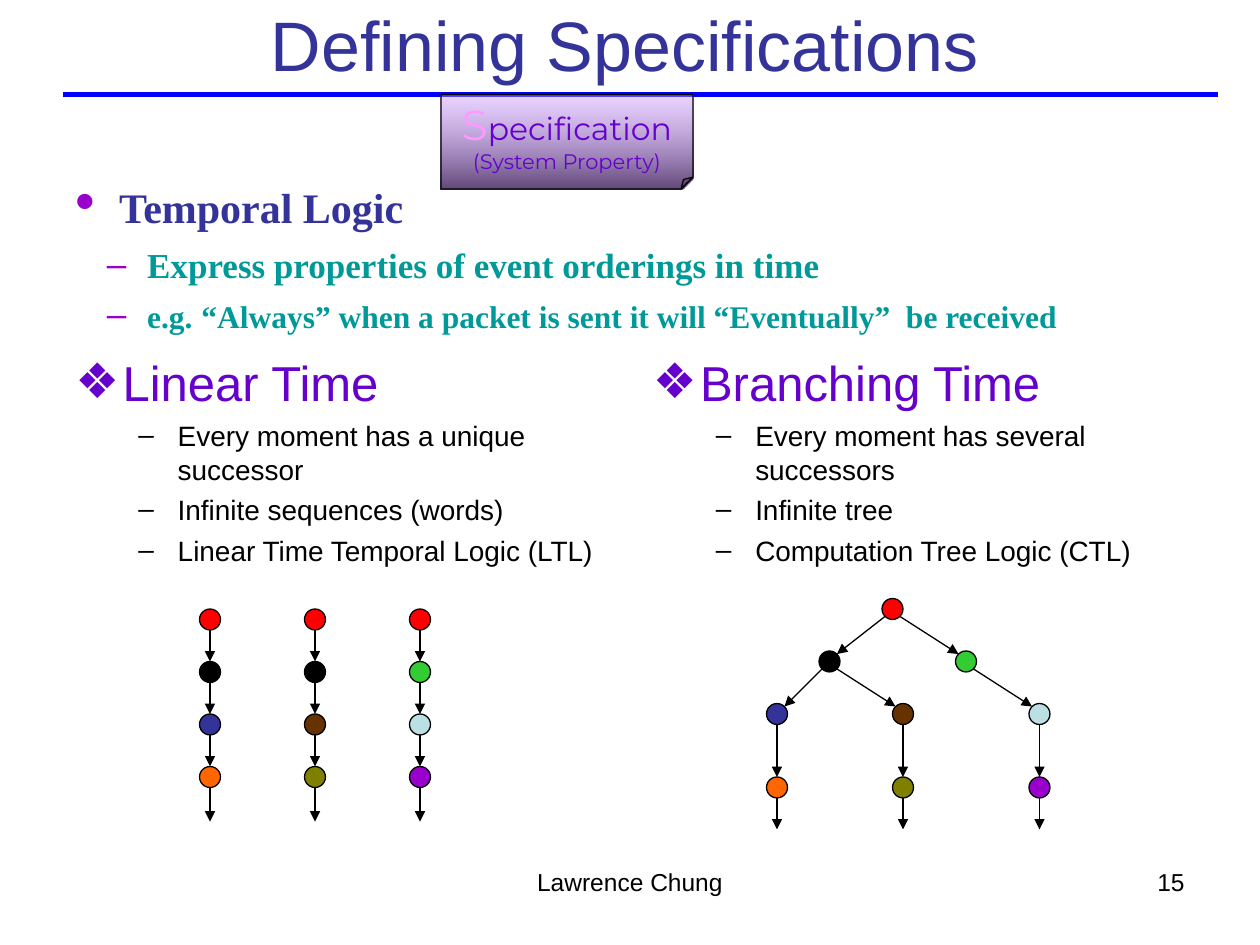
"""Builds the slide on defining specifications with linear and branching time."""
from dataclasses import dataclass
from math import sqrt

from lxml import etree
from pptx import Presentation
from pptx.dml.color import RGBColor
from pptx.enum import shapes, text
from pptx.oxml.ns import qn
from pptx.util import Pt

BLACK, RED, BLUE = RGBColor(0, 0, 0), RGBColor(255, 0, 0), RGBColor(0, 0, 255)
NAVY, INDIGO = RGBColor(0x33, 0x33, 0x99), RGBColor(0x66, 0x00, 0xCC)
PURPLE, TEAL = RGBColor(0x99, 0x00, 0xCC), RGBColor(0x00, 0x99, 0x99)
PINK, LILAC = RGBColor(0xFF, 0x99, 0xFF), RGBColor(0xCC, 0x99, 0xFF)
PLUM, PALE = RGBColor(0x5E, 0x46, 0x75), RGBColor(0xBB, 0xE0, 0xE3)
ORANGE, BROWN = RGBColor(0xFF, 0x66, 0x00), RGBColor(0x66, 0x33, 0x00)
OLIVE, GREEN = RGBColor(0x80, 0x80, 0x00), RGBColor(0x33, 0xCC, 0x33)

ARIAL, TIMES, MONTSERRAT = "Arial", "Times New Roman", "Montserrat"
LEFT, CENTER, RIGHT = text.PP_ALIGN.LEFT, text.PP_ALIGN.CENTER, text.PP_ALIGN.RIGHT
RADIUS = 6


@dataclass(frozen=True)
class Run:
    text: str
    size: float
    color: RGBColor = BLACK
    font: str = ARIAL
    bold: bool = False


@dataclass(frozen=True)
class Bullet:
    char: str
    color: RGBColor
    margin: float
    hang: float


@dataclass(frozen=True)
class Para:
    runs: tuple[Run, ...]
    align: text.PP_ALIGN = LEFT
    before: float = 0
    bullet: Bullet | None = None


@dataclass(frozen=True)
class Node:
    x: float
    y: float
    color: RGBColor


def add_bullet(p, bullet: Bullet) -> None:
    pPr = p._p.get_or_add_pPr()
    pPr.set("marL", str(Pt(bullet.margin)))
    pPr.set("indent", str(-Pt(bullet.hang)))
    clr = etree.SubElement(pPr, qn("a:buClr"))
    etree.SubElement(clr, qn("a:srgbClr"), val=str(bullet.color))
    etree.SubElement(pPr, qn("a:buFont"), typeface=ARIAL)
    etree.SubElement(pPr, qn("a:buChar"), char=bullet.char)


def fill_text(tf, paras: list[Para]) -> None:
    for i, para in enumerate(paras):
        p = tf.add_paragraph() if i else tf.paragraphs[0]
        p.alignment = para.align
        p.space_before = Pt(para.before)
        if para.bullet:
            add_bullet(p, para.bullet)
        for run in para.runs:
            r = p.add_run()
            r.text = run.text
            r.font.size = Pt(run.size)
            r.font.name = run.font
            r.font.bold = run.bold
            r.font.color.rgb = run.color


def add_text(s, box: tuple[float, ...], paras: list[Para],
             anchor=text.MSO_ANCHOR.TOP) -> None:
    tf = s.shapes.add_textbox(*map(Pt, box)).text_frame
    tf.word_wrap = True
    tf.vertical_anchor = anchor
    fill_text(tf, paras)


def add_line(parent, x1: float, y1: float, x2: float, y2: float,
             color: RGBColor = BLACK, width: float = 0.75, arrow: bool = True) -> None:
    c = parent.shapes.add_connector(shapes.MSO_CONNECTOR.STRAIGHT, *map(Pt, (x1, y1, x2, y2)))
    c.line.color.rgb = color
    c.line.width = Pt(width)
    spPr = c._element.spPr
    if arrow:
        etree.SubElement(spPr.find(qn("a:ln")), qn("a:tailEnd"), type="triangle")
    etree.SubElement(spPr, qn("a:effectLst"))


def add_outlined(parent, kind, left: float, top: float, width: float, height: float):
    sp = parent.shapes.add_shape(kind, *map(Pt, (left, top, width, height)))
    sp.shadow.inherit = False
    sp.line.color.rgb = BLACK
    sp.line.width = Pt(0.75)
    return sp


def add_node(parent, node: Node) -> None:
    sp = add_outlined(parent, shapes.MSO_SHAPE.OVAL, node.x - RADIUS, node.y - RADIUS,
                      2 * RADIUS, 2 * RADIUS)
    sp.fill.solid()
    sp.fill.fore_color.rgb = node.color


def add_edge(parent, a: Node, b: Node) -> None:
    dx = dy = RADIUS / sqrt(2)
    if a.x == b.x:
        dx, dy = 0, RADIUS
    elif b.x < a.x:
        dx = -dx
    add_line(parent, a.x + dx, a.y + dy, b.x - dx, b.y - dy)


def add_graph(s, nodes: list[Node], edges: list[tuple[int, int]], end: float) -> None:
    group = s.shapes.add_group_shape()
    for node in nodes:
        add_node(group, node)
    for a, b in edges:
        add_edge(group, nodes[a], nodes[b])
    parents = {a for a, _ in edges}
    for i, node in enumerate(nodes):
        if i not in parents:
            add_line(group, node.x, node.y + RADIUS, node.x, end)


def add_column(s, left: float, heading: str, items: list[str]) -> None:
    dash = Bullet("–", BLACK, 58.5, 22.5)
    head = Para((Run(heading, 28, INDIGO),), bullet=Bullet("❖", INDIGO, 27, 27))
    add_text(s, (left, 198, 318, 216),
             [head] + [Para((Run(item, 16),), before=4, bullet=dash) for item in items])


def add_card(s) -> None:
    sp = add_outlined(s, shapes.MSO_SHAPE.FOLDED_CORNER, 252, 54, 144, 54)
    guides = next(sp._element.spPr.iter(qn("a:avLst")))
    guides[:] = []
    etree.SubElement(guides, qn("a:gd"), name="adj", fmla="val 12500")
    sp.fill.gradient()
    sp.fill.gradient_angle = 270
    for stop, color, position in zip(sp.fill.gradient_stops, (LILAC, PLUM), (0, 1)):
        stop.color.rgb = color
        stop.position = position
    first = next(sp._element.spPr.find(qn("a:gradFill")).iter(qn("a:srgbClr")))
    etree.SubElement(first, qn("a:alpha"), val="41000")
    tf = sp.text_frame
    tf.word_wrap = False
    tf.vertical_anchor = text.MSO_ANCHOR.MIDDLE
    fill_text(tf, [
        Para((Run("S", 24, PINK, MONTSERRAT), Run("pecification", 18, INDIGO, MONTSERRAT)), CENTER),
        Para((Run("(System Property)", 12, INDIGO, MONTSERRAT),), CENTER)])


def main() -> None:
    prs = Presentation()
    prs.slide_width, prs.slide_height = Pt(720), Pt(540)
    s = prs.slides.add_slide(prs.slide_layouts[6])
    add_text(s, (30, 0, 654, 50), [Para((Run("Defining Specifications", 40, NAVY),), CENTER)],
             text.MSO_ANCHOR.MIDDLE)
    add_column(s, 36, "Linear Time", [
        "Every moment has a unique successor", "Infinite sequences (words)",
        "Linear Time Temporal Logic (LTL)"])
    add_column(s, 366, "Branching Time", [
        "Every moment has several successors", "Infinite tree", "Computation Tree Logic (CTL)"])
    dash = Bullet("–", PURPLE, 36, 18)
    space = Run(" ", 20, BLACK, TIMES)
    add_text(s, (36, 92, 642, 125), [
        Para((Run(" ", 32, BLACK, TIMES), Run("Temporal Logic", 24, NAVY, TIMES, True)),
             bullet=Bullet("•", PURPLE, 17, 17)),
        Para((space, Run("Express properties of event orderings in time", 20, TEAL, TIMES, True)),
             before=5, bullet=dash),
        Para((space, Run("e.g.", 18, TEAL, TIMES, True), Run(" ", 20, TEAL, TIMES, True),
              Run("“Always” when a packet is sent it will “Eventually”  be received",
                  18, TEAL, TIMES, True)), before=4.5, bullet=dash)])
    chains = [(RED, BLACK, NAVY, ORANGE), (RED, BLACK, BROWN, OLIVE), (RED, GREEN, PALE, PURPLE)]
    for i, chain in enumerate(chains):
        nodes = [Node(120 + 60 * i, 354 + 30 * j, color) for j, color in enumerate(chain)]
        add_graph(s, nodes, [(j, j + 1) for j in range(len(chain) - 1)], 469.5)
    tree = [Node(510, 348, RED), Node(474, 378, BLACK), Node(552, 378, GREEN),
            Node(444, 408, NAVY), Node(516, 408, BROWN), Node(594, 408, PALE),
            Node(444, 450, ORANGE), Node(516, 450, OLIVE), Node(594, 450, PURPLE)]
    add_graph(s, tree, [(0, 1), (0, 2), (1, 3), (1, 4), (2, 5), (3, 6), (4, 7), (5, 8)], 474)
    add_line(s, 36, 54, 696, 54, BLUE, 3, False)
    add_card(s)
    add_text(s, (246, 492, 228, 37.5), [Para((Run("Lawrence Chung", 14),), CENTER)])
    add_text(s, (516, 492, 168, 37.5), [Para((Run("15", 14),), RIGHT)])
    prs.save("out.pptx")


if __name__ == "__main__":
    main()
